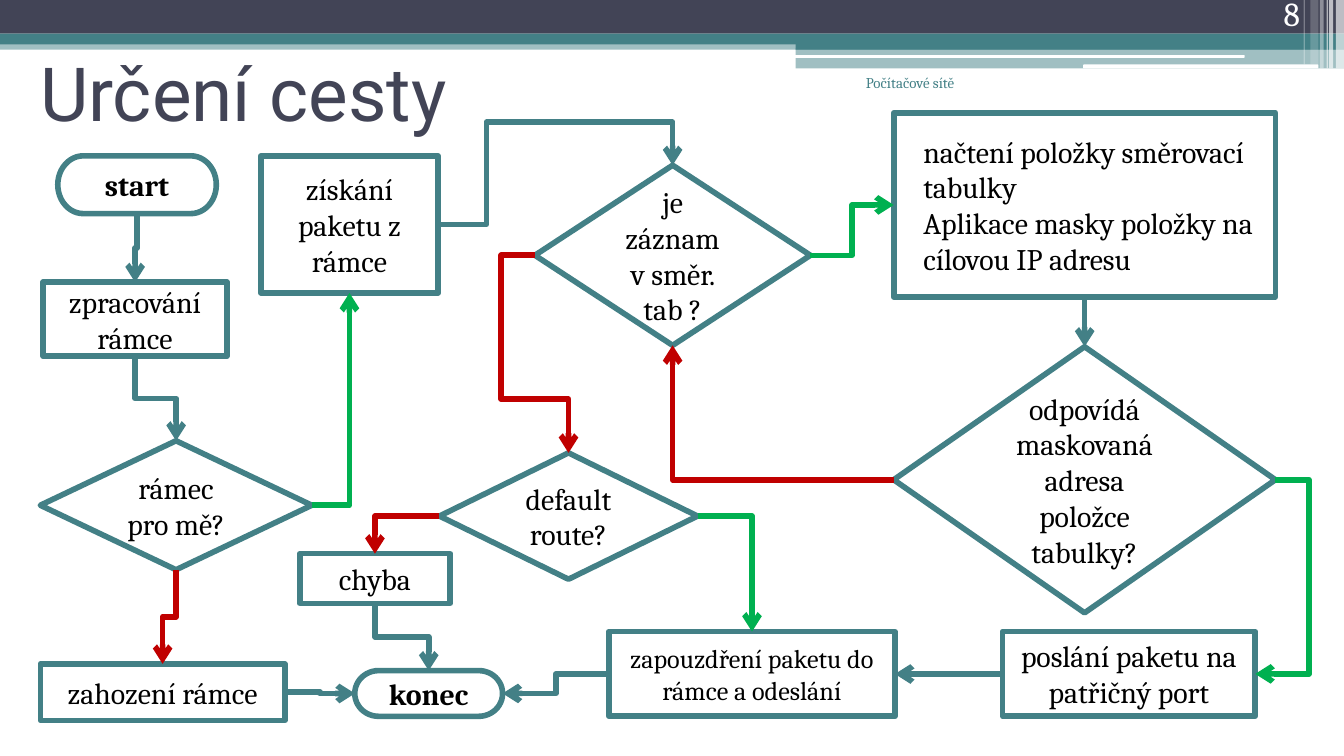
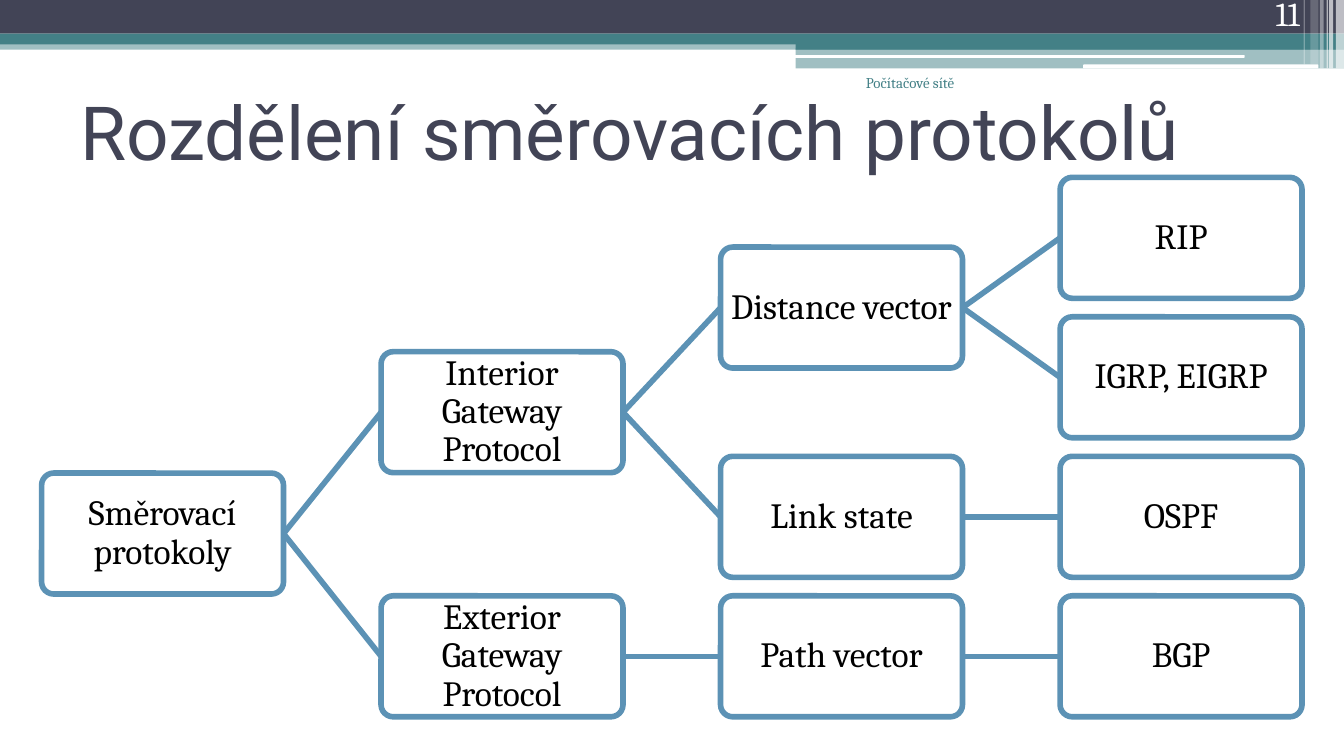
from lxml import etree
from pptx import Presentation
from pptx import util as u
from pptx.dml.color import RGBColor
from pptx.enum import shapes, text
from pptx.oxml.ns import qn

CELL = u.Inches(0.1)
COLS, ROWS = 100, 56.25
HUE = {
    "navy": "424456", "teal": "438086", "blue": "5C92B5", "white": "FFFFFF",
    "black": "000000", "yes": "00B050", "no": "C00000",
}
FORM = shapes.MSO_SHAPE
LINK = shapes.MSO_CONNECTOR
MID = text.MSO_ANCHOR.MIDDLE
LEFT, RIGHT, MEAN = text.PP_ALIGN.LEFT, text.PP_ALIGN.RIGHT, text.PP_ALIGN.CENTER
TIGHT = {f"margin_{side}": u.Inches(0.01) for side in ("left", "top", "right", "bottom")}
LOOK = {
    "title": {"ink": "navy", "font": {"name": "Roboto", "size": u.Pt(40)},
              "para": {"alignment": LEFT}, "frame": {"vertical_anchor": MID}},
    "foot": {"ink": "teal", "font": {"name": "Cambria", "size": u.Pt(8)},
             "para": {"alignment": RIGHT}, "frame": {}},
    "page": {"ink": "white", "font": {"name": "Cambria", "size": u.Pt(18)},
             "para": {"alignment": RIGHT},
             "frame": {"vertical_anchor": text.MSO_ANCHOR.BOTTOM}},
    "step": {"ink": "black", "font": {"name": "Cambria", "size": u.Pt(16)},
             "para": {"alignment": MEAN}, "frame": {"vertical_anchor": MID}},
    "leaf": {"ink": "black", "font": {"name": "Cambria", "size": u.Pt(19)},
             "para": {"alignment": MEAN, "line_spacing": 0.9},
             "frame": {"vertical_anchor": MID, **TIGHT}},
}
step = LOOK["step"]
LOOK["small"] = {**step, "font": {"name": "Cambria", "size": u.Pt(14)}}
LOOK["bold"] = {**step, "font": {**step["font"], "bold": True}}
LOOK["list"] = {**step, "para": {"alignment": LEFT},
                "frame": {"vertical_anchor": MID, "margin_left": u.Inches(0.22)}}


def put(slide, form, box, fill=None, edge=None, alpha=100, words="", look=None):
    spot = [int(n * CELL) for n in box]
    if form is None:
        item = slide.shapes.add_textbox(*spot)
    else:
        item = slide.shapes.add_shape(form, *spot)
        item.shadow.inherit = False
        item.fill.solid()
        item.fill.fore_color.rgb = RGBColor.from_string(HUE[fill])
        if alpha < 100:
            tint = item.element.spPr.find(".//" + qn("a:srgbClr"))
            etree.SubElement(tint, qn("a:alpha"), val=str(alpha * 1000))
        if edge:
            item.line.color.rgb = RGBColor.from_string(HUE[edge])
            item.line.width = u.Pt(3)
        else:
            item.line.fill.background()
    if words:
        style, frame = LOOK[look], item.text_frame
        frame.word_wrap = True
        frame.text = words
        for key, val in style["frame"].items():
            setattr(frame, key, val)
        for para in frame.paragraphs:
            for part, name in ((para, "para"), (para.font, "font")):
                for key, val in style[name].items():
                    setattr(part, key, val)
            para.font.color.rgb = RGBColor.from_string(HUE[style["ink"]])
    return item


def join(slide, kind, head, out, tail, into, hue):
    wire = slide.shapes.add_connector(kind, 0, 0, 0, 0)
    wire.begin_connect(head, out)
    wire.end_connect(tail, into)
    wire.line.color.rgb = RGBColor.from_string(HUE[hue])
    wire.line.width = u.Pt(3)
    etree.SubElement(wire.element.spPr, qn("a:effectLst"))
    return wire


deck = Presentation()
deck.slide_width, deck.slide_height = int(COLS * CELL), int(ROWS * CELL)

BANDS = [
    (FORM.RECTANGLE, (0, 3, COLS, 0.7), "teal", 50),
    (FORM.RECTANGLE, (0, 0, COLS, 2.5), "navy", 100),
    (FORM.RECTANGLE, (0, 2.5, COLS, 0.8), "teal", 100),
    (FORM.RECTANGLE, (59.2, 3, 40.8, 0.7), "teal", 100),
    (FORM.RECTANGLE, (59.2, 3.6, 40.8, 1.5), "teal", 50),
    (FORM.ROUNDED_RECTANGLE, (59.1, 4.1, 33.5, 0.2), "white", 100),
    (FORM.ROUNDED_RECTANGLE, (80.6, 4.8, 17.5, 0.3), "white", 100),
]
for left, wide, tall, alpha in (
    (99.4, 0.6, 5.1, 65), (98.9, 0.3, 5.1, 65), (98.7, 0.1, 5.1, 60),
    (98.2, 0.3, 5.1, 40), (97.5, 0.6, 4.8, 20), (97, 0.1, 4.8, 30),
):
    BANDS.append((FORM.RECTANGLE, (left, 0, wide, tall), "white", alpha))

pages = []
for title, box, page in (
    ("Určení cesty", (2, 2.9, 34, 7.9), "8"),
    ("Rozdělení směrovacích protokolů", (5, 5.3, 90, 8.8), "11"),
):
    slide = deck.slides.add_slide(deck.slide_layouts[6])
    for form, area, fill, alpha in BANDS:
        put(slide, form, area, fill, alpha=alpha)
    put(slide, None, box, words=title, look="title")
    put(slide, None, (57.5, 5, 14.5, 3.8), words="Počítačové sítě", look="foot")
    put(slide, None, (89.4, 0, 8.3, 3), words=page, look="page")
    pages.append(slide)
flow, tree = pages

ASK, DO, END = FORM.FLOWCHART_DECISION, FORM.FLOWCHART_PROCESS, FORM.FLOWCHART_TERMINATOR
STEPS = {
    "mine": (ASK, (3, 32.8, 20.2, 9.6), "rámec pro mě?", "step"),
    "frame": (FORM.RECTANGLE, (3.2, 21, 13.7, 5.5), "zpracování rámce", "step"),
    "get": (DO, (19.4, 11.6, 13.2, 10.2), "získání paketu z rámce", "step"),
    "match": (ASK, (66.5, 25.8, 28.4, 19.8),
              "odpovídá maskovaná adresa položce tabulky?", "step"),
    "load": (DO, (66.5, 8.4, 28.4, 13.7),
             "načtení položky směrovací tabulky\nAplikace masky položky na cílovou IP adresu",
             "list"),
    "drop": (DO, (3, 49.4, 18.2, 4.2), "zahození rámce", "step"),
    "send": (DO, (74.6, 47, 18.8, 6.3), "poslání paketu na patřičný port", "step"),
    "wrap": (DO, (45.3, 47, 21.3, 6.3), "zapouzdření paketu do rámce a odeslání", "small"),
    "entry": (ASK, (39.8, 12.3, 20.5, 13.4), "je záznam v směr. tab ?", "step"),
    "error": (FORM.RECTANGLE, (22.3, 41.2, 11.2, 3.7), "chyba", "step"),
    "route": (ASK, (32.7, 33.7, 19.2, 9.4), "default route?", "step"),
    "start": (END, (4.3, 11.6, 11.8, 4.3), "start", "bold"),
    "stop": (END, (26.4, 49.9, 11, 3.4), "konec", "bold"),
}
nodes = {}
for name, (form, box, words, look) in STEPS.items():
    nodes[name] = put(flow, form, box, "white", "teal", words=words, look=look)

for head, out, tail, into, hue, bends in (
    ("start", 2, "frame", 0, "teal", ()),
    ("frame", 2, "mine", 0, "teal", ()),
    ("mine", 3, "get", 2, "yes", ()),
    ("mine", 2, "drop", 0, "no", ()),
    ("get", 3, "entry", 0, "teal", (36.2, 9.1)),
    ("entry", 3, "load", 1, "yes", ()),
    ("entry", 1, "route", 0, "no", (37.3, 29.7)),
    ("load", 2, "match", 0, "teal", ()),
    ("match", 1, "entry", 2, "no", ()),
    ("match", 3, "send", 3, "yes", (97.4,)),
    ("send", 1, "wrap", 3, "teal", ()),
    ("route", 1, "error", 0, "no", ()),
    ("route", 3, "wrap", 0, "yes", ()),
    ("error", 2, "stop", 0, "teal", ()),
    ("wrap", 1, "stop", 3, "teal", ()),
    ("drop", 3, "stop", 1, "teal", ()),
):
    wire = join(flow, LINK.ELBOW, nodes[head], out, nodes[tail], into, hue)
    etree.SubElement(wire.line._get_or_add_ln(), qn("a:tailEnd"), type="arrow")
    shape = wire.element.spPr.find(qn("a:prstGeom"))
    turns = len(bends) + 2 if bends else 3 - (out + into) % 2
    shape.set("prst", f"bentConnector{turns}")
    first, last = (wire.begin_x, wire.begin_y), (wire.end_x, wire.end_y)
    guide = shape.find(qn("a:avLst"))
    for num, (bend, a, b) in enumerate(zip(bends, first, last), 1):
        share = round((bend * CELL - a) / (b - a) * 100000)
        etree.SubElement(guide, qn("a:gd"), name=f"adj{num}", fmla=f"val {share}")
    if out == 2:
        wide, tall = wire.width, wire.height
        wire.left += (wide - tall) // 2
        wire.top += (tall - wide) // 2
        wire.width, wire.height = tall, wide
        wire.rotation = 90
        turn = wire.element.spPr.find(qn("a:xfrm"))
        turn.set("flipH", "0")
        turn.set("flipV", "1" if last[0] > first[0] else "0")

TREE = (
    ("Směrovací protokoly", 0, 2.12, None),
    ("Interior Gateway Protocol", 1, 1.25, "Směrovací protokoly"),
    ("Exterior Gateway Protocol", 1, 3, "Směrovací protokoly"),
    ("Distance vector", 2, 0.5, "Interior Gateway Protocol"),
    ("Link state", 2, 2, "Interior Gateway Protocol"),
    ("Path vector", 2, 3, "Exterior Gateway Protocol"),
    ("RIP", 3, 0, "Distance vector"),
    ("IGRP, EIGRP", 3, 1, "Distance vector"),
    ("OSPF", 3, 2, "Link state"),
    ("BGP", 3, 3, "Path vector"),
)
leaves = {}
for words, col, row, root in TREE:
    box = (3.1 + 25.26 * col, 13.2 + 10.38 * row, 18, 9)
    leaf = put(tree, FORM.ROUNDED_RECTANGLE, box, "white", "blue", words=words, look="leaf")
    leaf.adjustments[0] = 0.1
    leaves[words] = leaf
    if root:
        join(tree, LINK.STRAIGHT, leaves[root], 3, leaf, 1, "blue")

deck.save("out.pptx")
